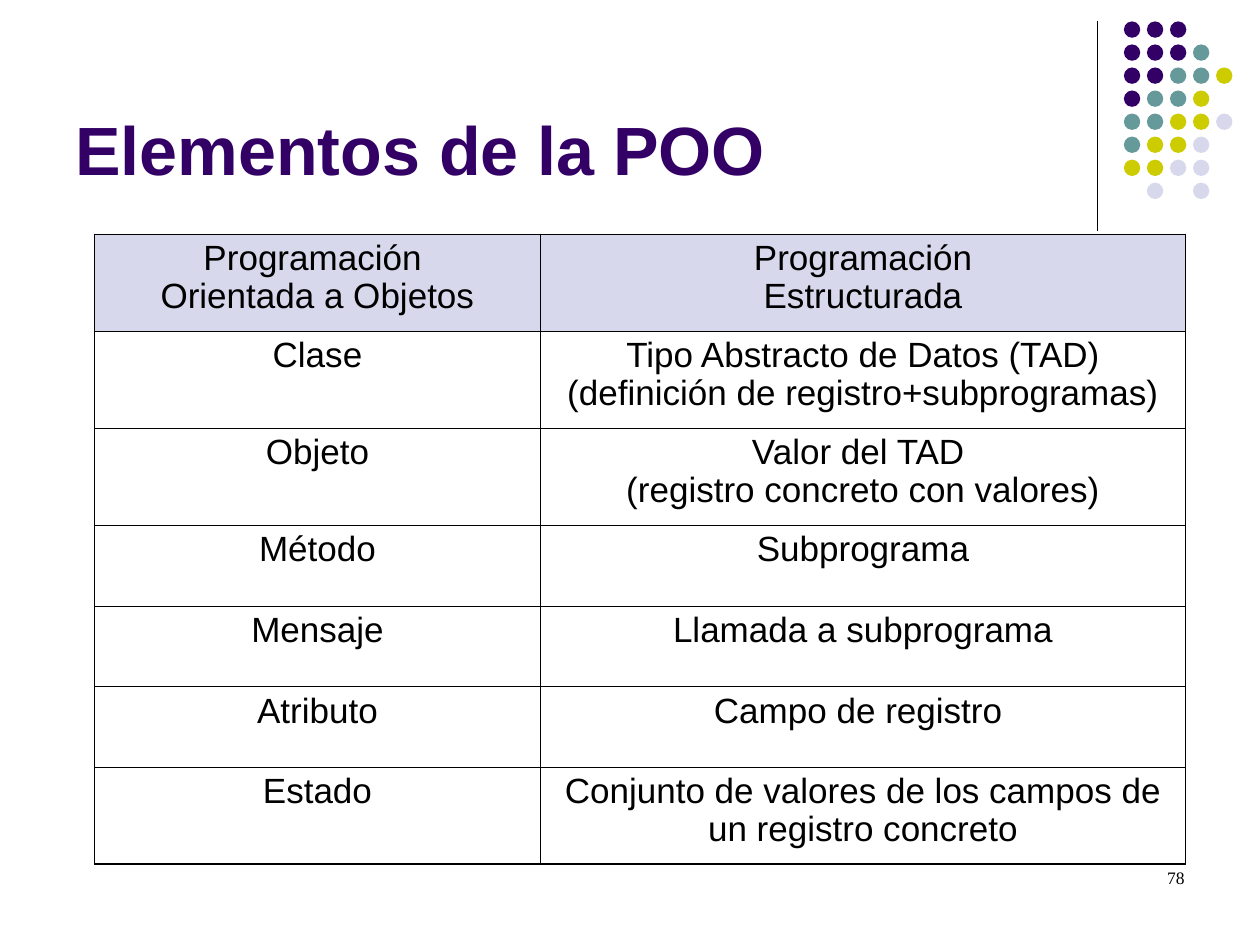
from typing import NamedTuple

from lxml import etree
from pptx import Presentation
from pptx.dml.color import RGBColor
from pptx.enum.shapes import MSO_CONNECTOR, MSO_SHAPE
from pptx.enum.text import MSO_ANCHOR, PP_ALIGN
from pptx.oxml.ns import qn
from pptx.util import Inches, Pt

STRAIGHT = MSO_CONNECTOR.STRAIGHT
ELLIPSE = MSO_SHAPE.OVAL
TOP, BOTTOM = MSO_ANCHOR.TOP, MSO_ANCHOR.BOTTOM
LEFT, CENTER, RIGHT = PP_ALIGN.LEFT, PP_ALIGN.CENTER, PP_ALIGN.RIGHT

BLACK = RGBColor(0x00, 0x00, 0x00)
PURPLE = RGBColor(0x33, 0x00, 0x66)
TEAL = RGBColor(0x66, 0x99, 0x99)
OLIVE = RGBColor(0xCC, 0xCC, 0x00)
LAVENDER = RGBColor(0xD8, 0xD8, 0xEC)

# One letter per dot, one string per row of the corner ornament
DOT_COLORS = {"P": PURPLE, "T": TEAL, "O": OLIVE, "L": LAVENDER}
DOT_ROWS = ["PPP", "PPPT", "PPTTO", "PTTO", "TTOOL", "TOOL", "OOLL", " L L"]
DOT_PITCH = Inches(1.28) / 7

COLUMN_WIDTHS = [3.54, 5.12]
OUTER_BORDER, INNER_BORDER = Pt(0.96), Pt(0.45)


class TextStyle(NamedTuple):
    size: float
    font: str = "Arial"
    color: RGBColor = BLACK
    bold: bool = False
    alignment: PP_ALIGN = LEFT


class TableRow(NamedTuple):
    height: float
    objects: list[str]
    structured: list[str]


TITLE_STYLE = TextStyle(39, color=PURPLE, bold=True)
CELL_STYLE = TextStyle(20, alignment=CENTER)
NUMBER_STYLE = TextStyle(10, font="Times New Roman", alignment=RIGHT)

ROWS = [
    TableRow(0.77, ["Programación ", "Orientada a Objetos"], ["Programación", "Estructurada"]),
    TableRow(0.77, ["Clase"],
             ["Tipo Abstracto de Datos (TAD) (definición de registro+subprogramas)"]),
    TableRow(0.77, ["Objeto"], ["Valor del TAD ", "(registro concreto con valores)"]),
    TableRow(0.64, ["Método"], ["Subprograma"]),
    TableRow(0.64, ["Mensaje"], ["Llamada a subprograma"]),
    TableRow(0.64, ["Atributo"], ["Campo de registro "]),
    TableRow(0.77, ["Estado"],
             ["Conjunto de valores de los campos de un registro concreto"]),
]


def write_text(text_frame, lines: list[str], style: TextStyle) -> None:
    for index, line in enumerate(lines):
        paragraph = text_frame.add_paragraph() if index else text_frame.paragraphs[0]
        paragraph.alignment = style.alignment
        run = paragraph.add_run()
        run.text = line
        run.font.size = Pt(style.size)
        run.font.name = style.font
        run.font.bold = style.bold
        run.font.color.rgb = style.color


def add_text(slide, left: float, top: float, width: float, height: float,
             text: str, style: TextStyle, anchor: MSO_ANCHOR = TOP) -> None:
    box = slide.shapes.add_textbox(Inches(left), Inches(top), Inches(width), Inches(height))
    box.text_frame.word_wrap = True
    box.text_frame.vertical_anchor = anchor
    write_text(box.text_frame, [text], style)


def add_ornament(slide) -> None:
    line = slide.shapes.add_connector(
        STRAIGHT, Inches(8.71), Inches(0.17), Inches(8.71), Inches(1.83))
    line.line.color.rgb = BLACK
    line.line.width = Pt(0.75)
    etree.SubElement(line._element.spPr, qn("a:effectLst"))

    for row, letters in enumerate(DOT_ROWS):
        for column, letter in enumerate(letters):
            if letter not in DOT_COLORS:
                continue
            dot = slide.shapes.add_shape(
                ELLIPSE, int(Inches(8.92) + column * DOT_PITCH),
                int(Inches(0.17) + row * DOT_PITCH), Inches(0.13), Inches(0.13))
            dot.shadow.inherit = False
            dot.fill.solid()
            dot.fill.fore_color.rgb = DOT_COLORS[letter]
            dot.line.fill.background()


def add_border(cell, side: str, width: int) -> None:
    border = etree.SubElement(cell._tc.get_or_add_tcPr(), qn(f"a:ln{side}"), w=str(width))
    fill = etree.SubElement(border, qn("a:solidFill"))
    etree.SubElement(fill, qn("a:srgbClr"), val=str(BLACK))


def add_comparison_table(slide) -> None:
    height = sum(row.height for row in ROWS)
    table = slide.shapes.add_table(
        len(ROWS), len(COLUMN_WIDTHS), Inches(0.75), Inches(1.86),
        Inches(sum(COLUMN_WIDTHS)), Inches(height)).table
    table.first_row = False
    table.horz_banding = False
    for column, width in zip(table.columns, COLUMN_WIDTHS):
        column.width = Inches(width)

    last_row, last_column = len(ROWS) - 1, len(COLUMN_WIDTHS) - 1
    for row_index, row in enumerate(ROWS):
        table.rows[row_index].height = Inches(row.height)
        for column_index, lines in enumerate([row.objects, row.structured]):
            cell = table.cell(row_index, column_index)
            write_text(cell.text_frame, lines, CELL_STYLE)
            for paragraph in cell.text_frame.paragraphs:
                paragraph.line_spacing = 0.97
            # Thicker borders around the outside of the table
            on_edge = {"L": column_index == 0, "R": column_index == last_column,
                       "T": row_index == 0, "B": row_index == last_row}
            for side, outer in on_edge.items():
                add_border(cell, side, OUTER_BORDER if outer else INNER_BORDER)
            if row_index == 0:
                cell.fill.solid()
                cell.fill.fore_color.rgb = LAVENDER
            else:
                cell.fill.background()


def main() -> None:
    presentation = Presentation()
    presentation.slide_width = Inches(10)
    presentation.slide_height = Inches(7.5)
    slide = presentation.slides.add_slide(presentation.slide_layouts[6])

    add_ornament(slide)
    add_text(slide, 0.5, 0.13, 8.25, 1.42, "Elementos de la POO", TITLE_STYLE, BOTTOM)
    add_comparison_table(slide)
    add_text(slide, 7.17, 6.83, 2.33, 0.5, "78", NUMBER_STYLE)

    presentation.save("out.pptx")


if __name__ == "__main__":
    main()
